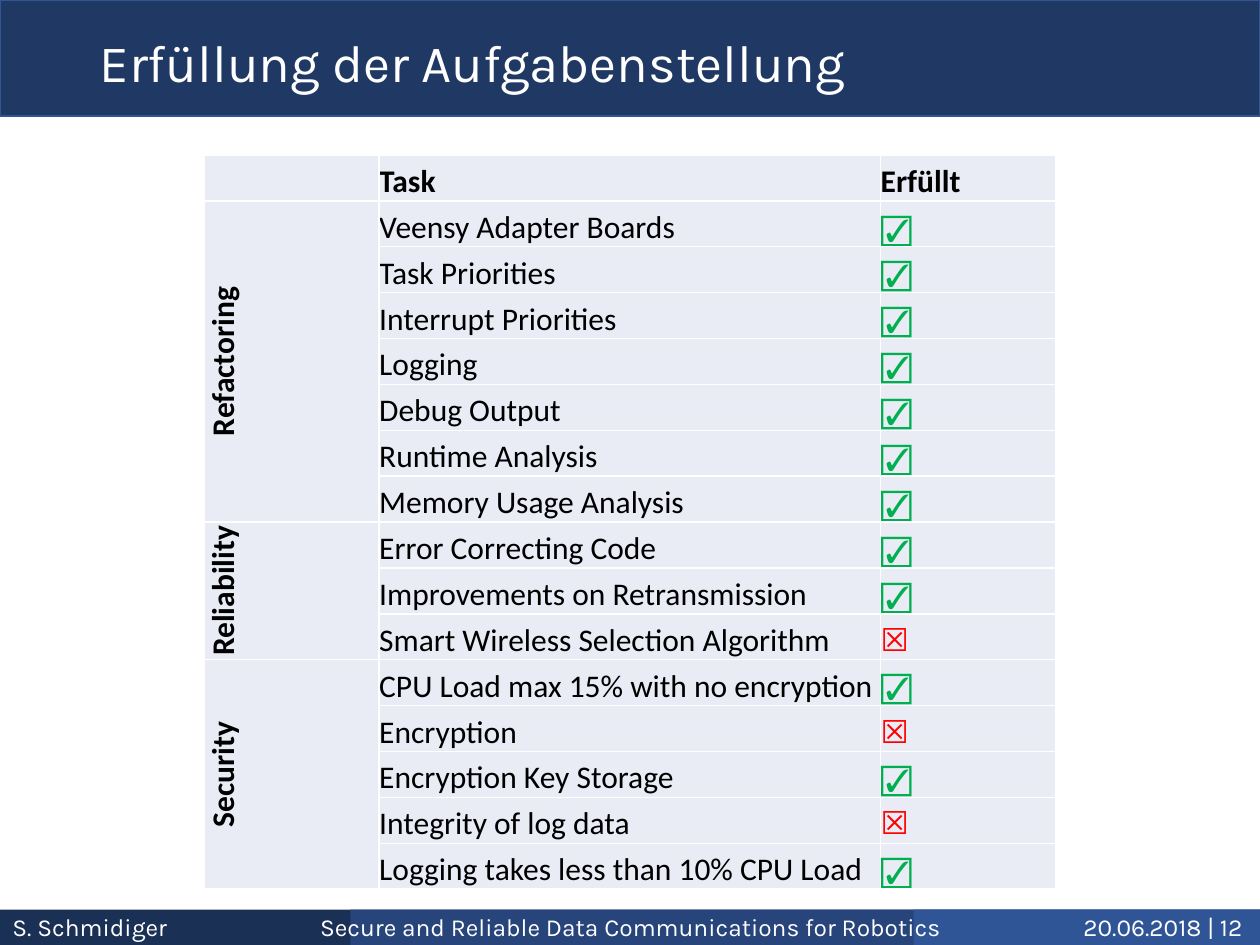
import dataclasses
import typing

import lxml.etree
import pptx
import pptx.dml.color
import pptx.enum.shapes
import pptx.enum.text
import pptx.oxml.ns
import pptx.util

Inches = pptx.util.Inches
Align = pptx.enum.text.PP_ALIGN
Anchor = pptx.enum.text.MSO_ANCHOR


@dataclasses.dataclass(frozen=True)
class Theme:
    white: str = "FFFFFF"
    black: str = "000000"
    navy: str = "203864"
    navy_edge: str = "325491"
    footer_dark: str = "1B3055"
    footer_mid: str = "27457B"
    footer_light: str = "2F5597"
    cell: str = "E9EBF5"
    done: str = "00B050"
    missed: str = "FF0000"
    heading_font: str = "Karla"
    table_font: str = "Calibri"
    check_font: str = "Arial"
    title_size: int = 30
    table_size: int = 18
    footer_size: int = 14


class Bar(typing.NamedTuple):
    left: float
    top: float
    height: float
    fill: str
    edge: str | None = None


class FooterText(typing.NamedTuple):
    left: float
    width: float
    text: str
    align: Align


class Task(typing.NamedTuple):
    name: str
    done: bool = True


class Group(typing.NamedTuple):
    name: str
    tasks: list[Task]


THEME = Theme()
PAGE_WIDTH = 10
BARS = [
    Bar(0, 7.22, 0.28, THEME.footer_dark),
    Bar(2.78, 7.22, 0.28, THEME.footer_mid),
    Bar(7.25, 7.22, 0.28, THEME.footer_light),
    Bar(0, 0, 0.92, THEME.navy, THEME.navy_edge),
]
FOOTERS = [
    FooterText(2.3, 5.41, "Secure and Reliable Data Communications for Robotics", Align.CENTER),
    FooterText(0, 2.25, "S. Schmidiger", Align.LEFT),
    FooterText(7.71, 2.25, "20.06.2018 | 12", Align.RIGHT),
]
GROUPS = [
    Group("Refactoring", [
        Task("Veensy Adapter Boards"),
        Task("Task Priorities"),
        Task("Interrupt Priorities"),
        Task("Logging"),
        Task("Debug Output"),
        Task("Runtime Analysis"),
        Task("Memory Usage Analysis"),
    ]),
    Group("Reliability", [
        Task("Error Correcting Code"),
        Task("Improvements on Retransmission"),
        Task("Smart Wireless Selection Algorithm", False),
    ]),
    Group("Security", [
        Task("CPU Load max 15% with no encryption"),
        Task("Encryption", False),
        Task("Encryption Key Storage"),
        Task("Integrity of log data", False),
        Task("Logging takes less than 10% CPU Load"),
    ]),
]
COLUMN_WIDTHS = [1.39, 3.98, 1.39]
TABLE_HEIGHT = 5.83


def rgb(value: str) -> pptx.dml.color.RGBColor:
    return pptx.dml.color.RGBColor.from_string(value)


def write(frame, text: str, font: str, size: int, color: str,
          align: Align = Align.LEFT, bold: bool = False) -> None:
    frame.text = text
    para = frame.paragraphs[0]
    para.alignment = align
    para.font.size = pptx.util.Pt(size)
    for span in para.runs:
        span.font.name = font
        span.font.size = pptx.util.Pt(size)
        span.font.bold = bold
        span.font.color.rgb = rgb(color)


def draw_bar(page, bar: Bar) -> None:
    box = page.shapes.add_shape(
        pptx.enum.shapes.MSO_SHAPE.RECTANGLE, Inches(bar.left), Inches(bar.top),
        Inches(PAGE_WIDTH - bar.left), Inches(bar.height))
    box.shadow.inherit = False
    box.fill.solid()
    box.fill.fore_color.rgb = rgb(bar.fill)
    if bar.edge:
        box.line.color.rgb = rgb(bar.edge)
        box.line.width = pptx.util.Pt(1)
    else:
        box.line.fill.background()


def draw_footer(page, footer: FooterText) -> None:
    box = page.shapes.add_textbox(
        Inches(footer.left), Inches(7.19), Inches(footer.width), Inches(0.4))
    box.text_frame.word_wrap = True
    write(box.text_frame, footer.text, THEME.heading_font, THEME.footer_size,
          THEME.white, footer.align)


def place_title(page, text: str) -> None:
    title = page.shapes.title
    title.left, title.top = Inches(0.69), Inches(-0.08)
    title.width, title.height = Inches(8.62), Inches(1.2)
    frame = title.text_frame
    frame.auto_size = pptx.enum.text.MSO_AUTO_SIZE.NONE
    frame.vertical_anchor = Anchor.MIDDLE
    write(frame, text, THEME.heading_font, THEME.title_size, THEME.white)
    frame.paragraphs[0].line_spacing = 0.9
    title.element.getparent().append(title.element)


def style_cell(cell) -> None:
    cell.margin_left = cell.margin_right = cell.margin_top = cell.margin_bottom = 0
    cell.vertical_anchor = Anchor.BOTTOM
    cell.fill.solid()
    cell.fill.fore_color.rgb = rgb(THEME.cell)
    properties = cell._tc.get_or_add_tcPr()
    qn = pptx.oxml.ns.qn
    for index, side in enumerate(("a:lnL", "a:lnR", "a:lnT", "a:lnB")):
        border = lxml.etree.Element(qn(side), w=str(pptx.util.Pt(1)))
        fill = lxml.etree.SubElement(border, qn("a:solidFill"))
        lxml.etree.SubElement(fill, qn("a:srgbClr"), val=THEME.white)
        properties.insert(index, border)


def write_cell(cell, text: str, bold: bool = False, align: Align = Align.LEFT) -> None:
    write(cell.text_frame, text, THEME.table_font, THEME.table_size, THEME.black, align, bold)


def write_result(cell, done: bool) -> None:
    mark, font, color = (
        ("☑", THEME.check_font, THEME.done) if done
        else ("☒", THEME.table_font, THEME.missed))
    write(cell.text_frame, mark, font, THEME.table_size, color)


def draw_table(page, groups: list[Group]) -> None:
    row_count = 1 + sum(len(group.tasks) for group in groups)
    table = page.shapes.add_table(
        row_count, len(COLUMN_WIDTHS), Inches(1.62), Inches(1.23),
        Inches(sum(COLUMN_WIDTHS)), Inches(TABLE_HEIGHT)).table
    for column, width in zip(table.columns, COLUMN_WIDTHS):
        column.width = Inches(width)
    for cell in table.iter_cells():
        style_cell(cell)
    for column, heading in enumerate(("", "Task", "Erfüllt")):
        write_cell(table.cell(0, column), heading, bold=True)
    row = 1
    for group in groups:
        label = table.cell(row, 0)
        label.merge(table.cell(row + len(group.tasks) - 1, 0))
        write_cell(label, group.name, bold=True, align=Align.CENTER)
        label.vertical_anchor = Anchor.MIDDLE
        label._tc.get_or_add_tcPr().set("vert", "vert270")
        for task in group.tasks:
            write_cell(table.cell(row, 1), task.name)
            write_result(table.cell(row, 2), task.done)
            row += 1


def main() -> None:
    deck = pptx.Presentation()
    deck.slide_width, deck.slide_height = Inches(PAGE_WIDTH), Inches(7.5)
    page = deck.slides.add_slide(deck.slide_layouts[5])
    for bar in BARS:
        draw_bar(page, bar)
    draw_table(page, GROUPS)
    for footer in FOOTERS:
        draw_footer(page, footer)
    place_title(page, "Erfüllung der Aufgabenstellung")
    deck.save("out.pptx")


if __name__ == "__main__":
    main()
